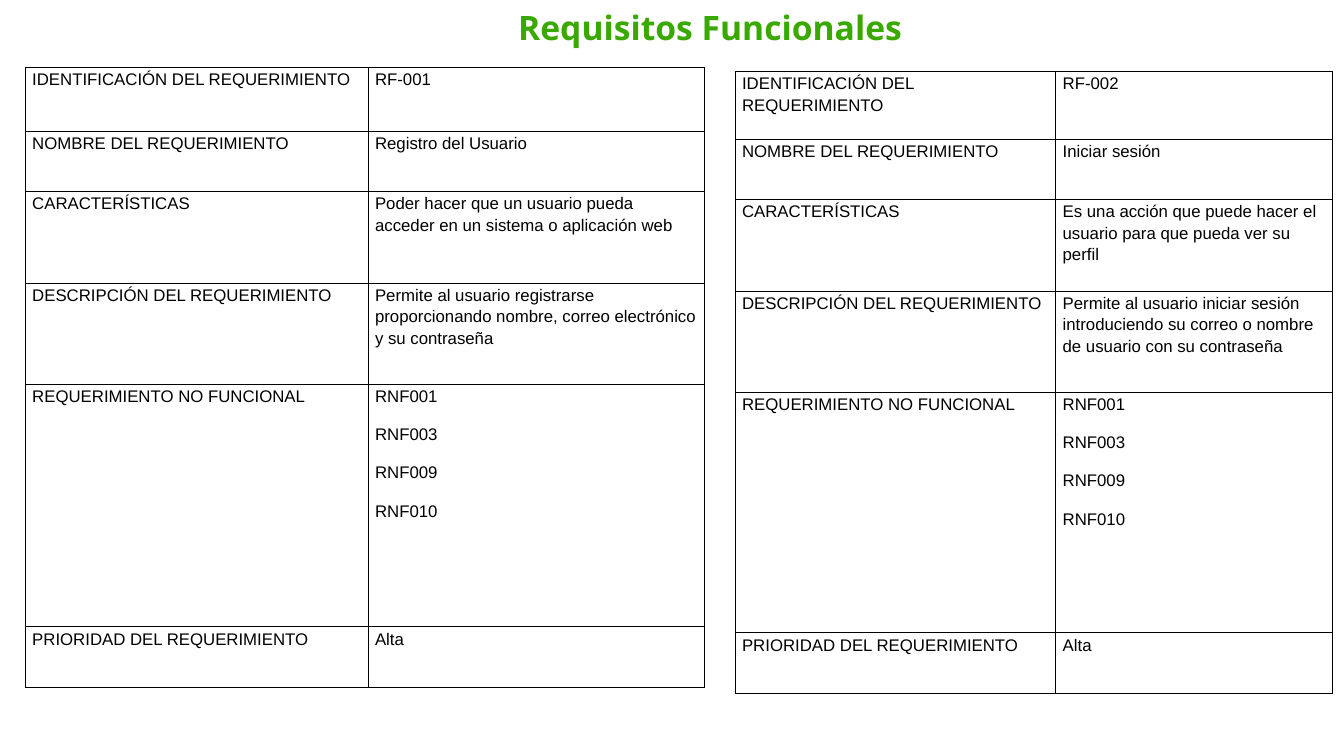
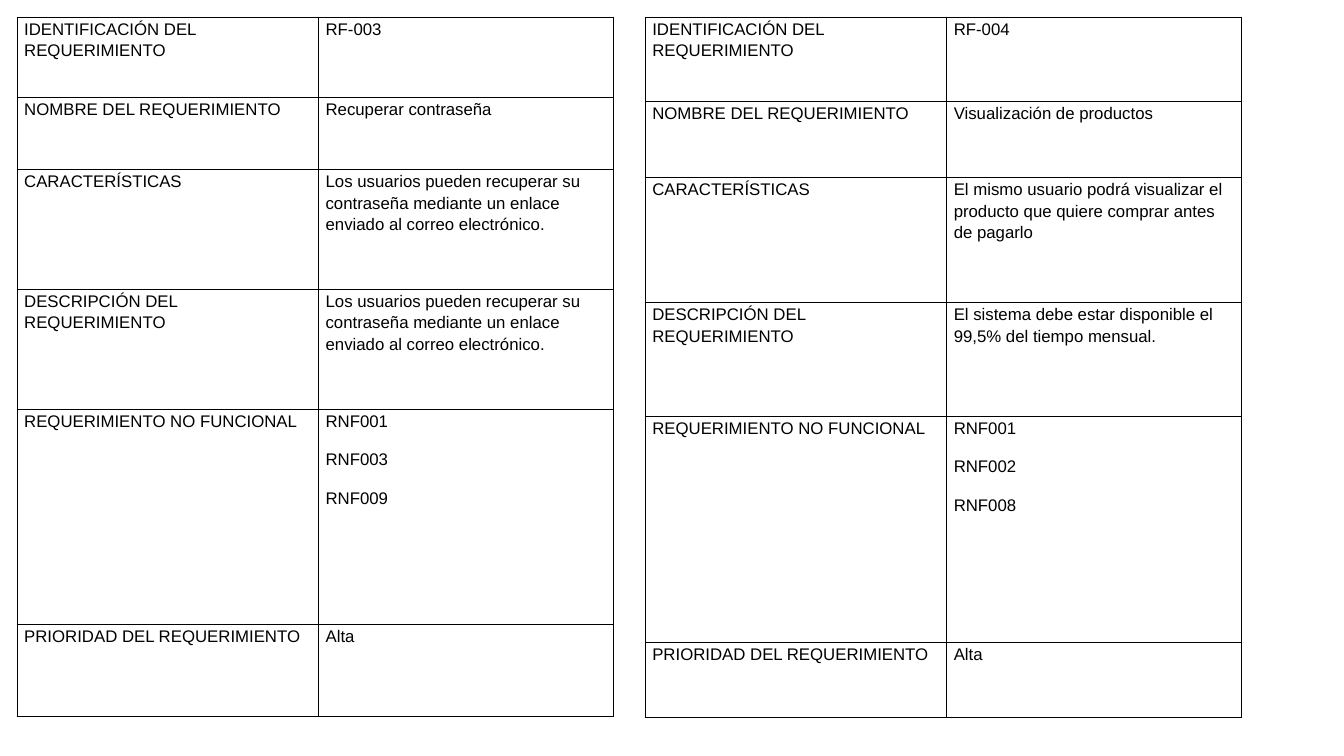
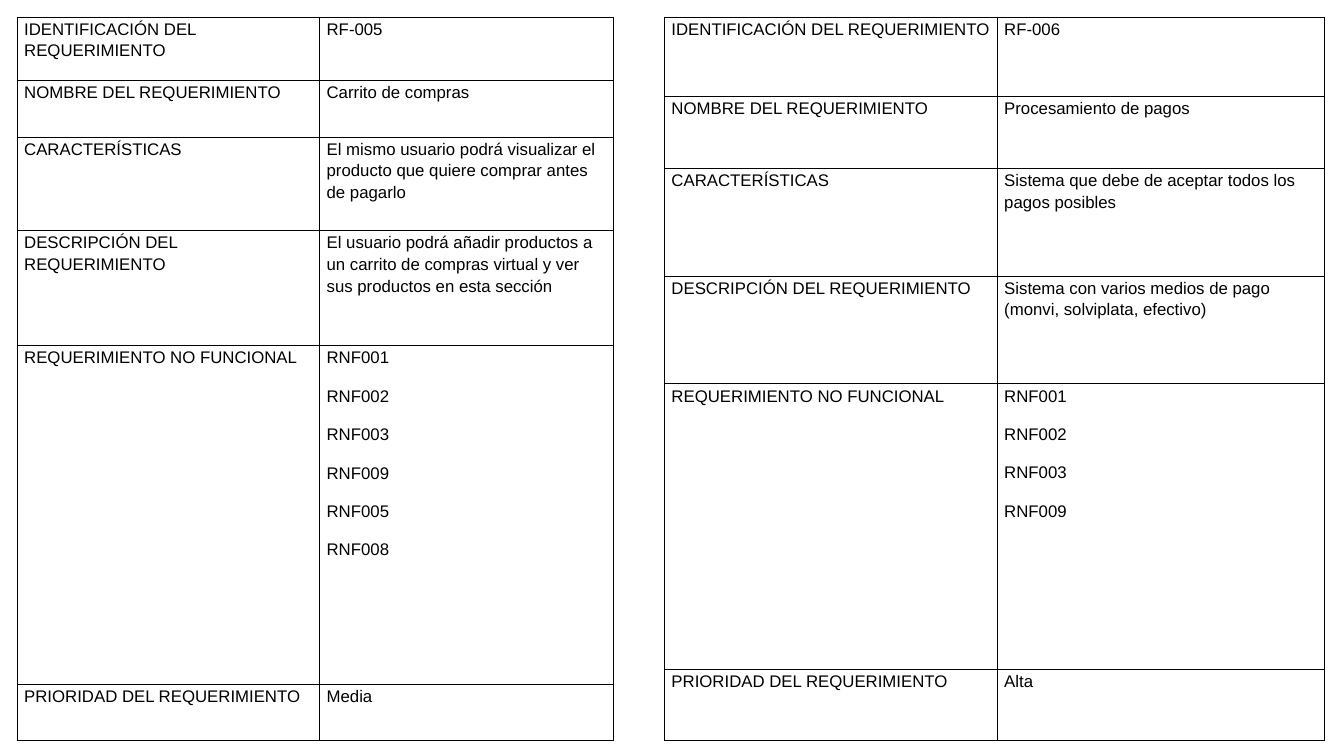
from lxml import etree
from pptx import Presentation
from pptx.dml.color import RGBColor
from pptx.enum.text import MSO_AUTO_SIZE as AUTO_SIZE
from pptx.oxml.ns import qn
from pptx.util import Inches, Pt

COLORS = {"text": "000000", "border": "000000", "title": "39A900"}
BODY_FONT, TITLE_FONT = "Arial", "Noto Sans"
BORDER_PT = 0.75
BORDER_SIDES = ("a:lnL", "a:lnR", "a:lnT", "a:lnB")

LABELS = (
    "IDENTIFICACIÓN DEL REQUERIMIENTO",
    "NOMBRE DEL REQUERIMIENTO",
    "CARACTERÍSTICAS",
    "DESCRIPCIÓN DEL REQUERIMIENTO",
    "REQUERIMIENTO NO FUNCIONAL",
    "PRIORIDAD DEL REQUERIMIENTO",
)
PREVIEW = "El mismo usuario podrá visualizar el producto que quiere comprar antes de pagarlo"
RECOVERY = ("Los usuarios pueden recuperar su contraseña mediante un enlace "
            "enviado al correo electrónico.")

SLIDES = [
    {"title": "Requisitos Funcionales", "tables": [
        {"at": (0.25, 0.67), "cols": (3.4, 3.34),
         "rows": (0.63, 0.6, 0.91, 1, 2.41, 0.6),
         "values": ("RF-001", "Registro del Usuario",
                    "Poder hacer que un usuario pueda acceder en un sistema o aplicación web",
                    "Permite al usuario registrarse proporcionando nombre, "
                    "correo electrónico y su contraseña",
                    "RNF001\nRNF003\nRNF009\nRNF010", "Alta")},
        {"at": (7.29, 0.71), "cols": (3.18, 2.75),
         "rows": (0.67, 0.6, 0.91, 1, 2.39, 0.6),
         "values": ("RF-002", "Iniciar sesión",
                    "Es una acción que puede hacer el usuario para que pueda ver su perfil",
                    "Permite al usuario iniciar sesión introduciendo su correo "
                    "o nombre de usuario con su contraseña",
                    "RNF001\nRNF003\nRNF009\nRNF010", "Alta")},
    ]},
    {"tables": [
        {"at": (0.17, 0.17), "cols": (2.99, 2.92),
         "rows": (0.8, 0.71, 1.19, 1.19, 2.14, 0.91),
         "values": ("RF-003", "Recuperar contraseña", RECOVERY, RECOVERY,
                    "RNF001\nRNF003\nRNF009", "Alta")},
        {"at": (6.4, 0.17), "cols": (2.99, 2.92),
         "rows": (0.84, 0.75, 1.24, 1.13, 2.24, 0.75),
         "values": ("RF-004", "Visualización de productos", PREVIEW,
                    "El sistema debe estar disponible el 99,5% del tiempo mensual.",
                    "RNF001\nRNF002\nRNF008", "Alta")},
    ]},
    {"tables": [
        {"at": (0.17, 0.17), "cols": (3, 2.91),
         "rows": (0.63, 0.56, 0.93, 1.14, 3.36, 0.56),
         "values": ("RF-005", "Carrito de compras", PREVIEW,
                    "El usuario podrá añadir productos a un carrito de compras "
                    "virtual y ver sus productos en esta sección",
                    "RNF001\nRNF002\nRNF003\nRNF009\nRNF005\nRNF008", "Media")},
        {"at": (6.59, 0.17), "cols": (3.3, 3.25),
         "rows": (0.79, 0.71, 1.07, 1.07, 2.83, 0.71),
         "values": ("RF-006", "Procesamiento de pagos",
                    "Sistema que debe de aceptar todos los pagos posibles",
                    "Sistema con varios medios de pago (monvi, solviplata, efectivo)",
                    "RNF001\nRNF002\nRNF003\nRNF009", "Alta")},
    ]},
]


def style_font(font, name, size, color, bold=False):
    font.name, font.size, font.bold = name, Pt(size), bold
    font.color.rgb = RGBColor.from_string(COLORS[color])


def add_title(slide, text, left, top, width, height):
    tf = slide.shapes.add_textbox(
        Inches(left), Inches(top), Inches(width), Inches(height)).text_frame
    tf.word_wrap = True
    tf.auto_size = AUTO_SIZE.SHAPE_TO_FIT_TEXT
    tf.margin_left = tf.margin_top = Inches(0.02)
    tf.margin_right = tf.margin_bottom = 0
    p = tf.paragraphs[0]
    p.text = text
    style_font(p.font, TITLE_FONT, 24, "title", bold=True)


def set_borders(cell):
    tc_pr = cell._tc.get_or_add_tcPr()
    for side in BORDER_SIDES:
        ln = etree.SubElement(tc_pr, qn(side), w=str(Pt(BORDER_PT)))
        fill = etree.SubElement(ln, qn("a:solidFill"))
        etree.SubElement(fill, qn("a:srgbClr"), val=COLORS["border"])


def fill_cell(cell, text):
    """Write one paragraph per line of text in a bordered, unfilled cell."""
    set_borders(cell)
    cell.fill.background()
    cell.margin_left = cell.margin_right = Inches(0.07)
    cell.margin_top = cell.margin_bottom = 0
    cell.text = text
    for i, p in enumerate(cell.text_frame.paragraphs):
        p.line_spacing = 1.15
        p.space_before = Pt(12 if i else 0)
        style_font(p.font, BODY_FONT, 12, "text")


def add_requirement(slide, at, cols, rows, values):
    left, top = at
    table = slide.shapes.add_table(
        len(rows), len(cols), Inches(left), Inches(top),
        Inches(sum(cols)), Inches(sum(rows))).table
    table.first_row = table.horz_banding = False
    for column, width in zip(table.columns, cols):
        column.width = Inches(width)
    for row, height, texts in zip(table.rows, rows, zip(LABELS, values)):
        row.height = Inches(height)
        for cell, text in zip(row.cells, texts):
            fill_cell(cell, text)


def main():
    prs = Presentation()
    prs.slide_width, prs.slide_height = Inches(13.33), Inches(7.5)
    for content in SLIDES:
        slide = prs.slides.add_slide(prs.slide_layouts[6])
        for requirement in content["tables"]:
            add_requirement(slide, **requirement)
        if "title" in content:
            add_title(slide, content["title"], 5.12, 0.05, 3.94, 0.42)
    prs.save("out.pptx")


if __name__ == "__main__":
    main()
